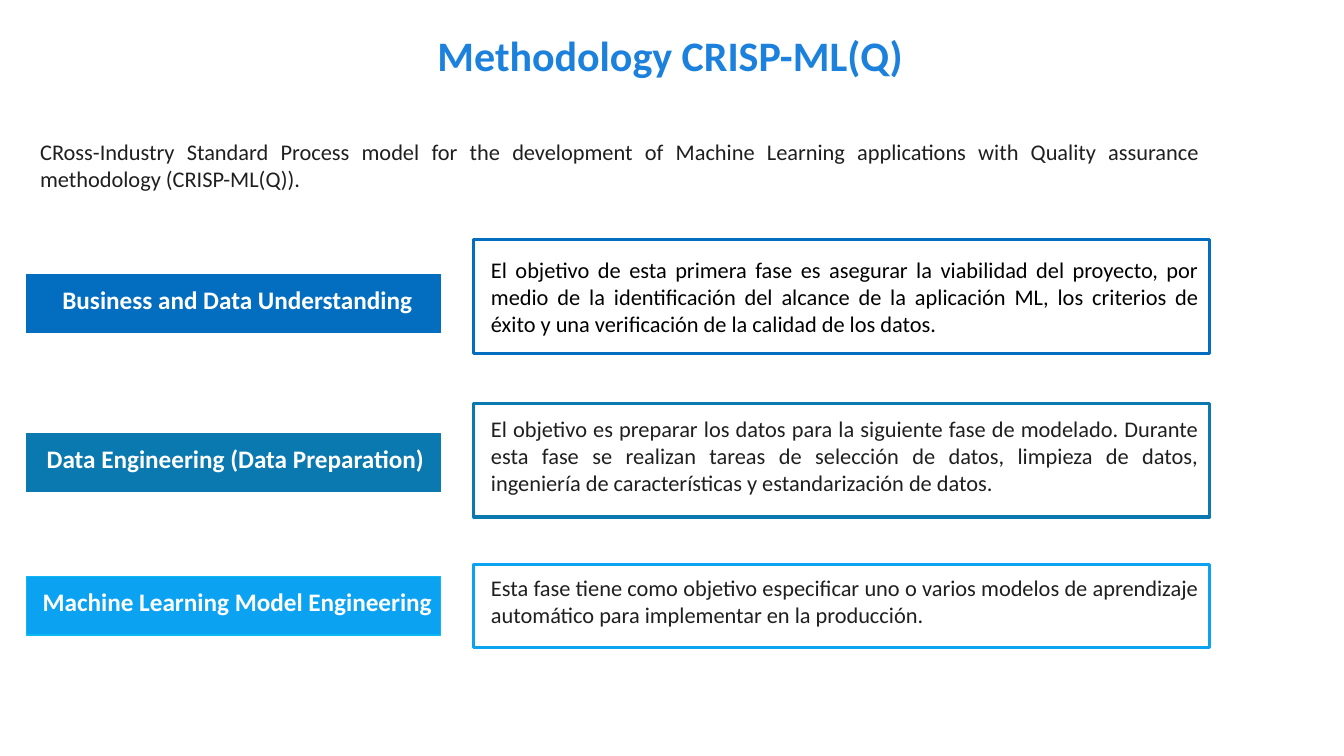
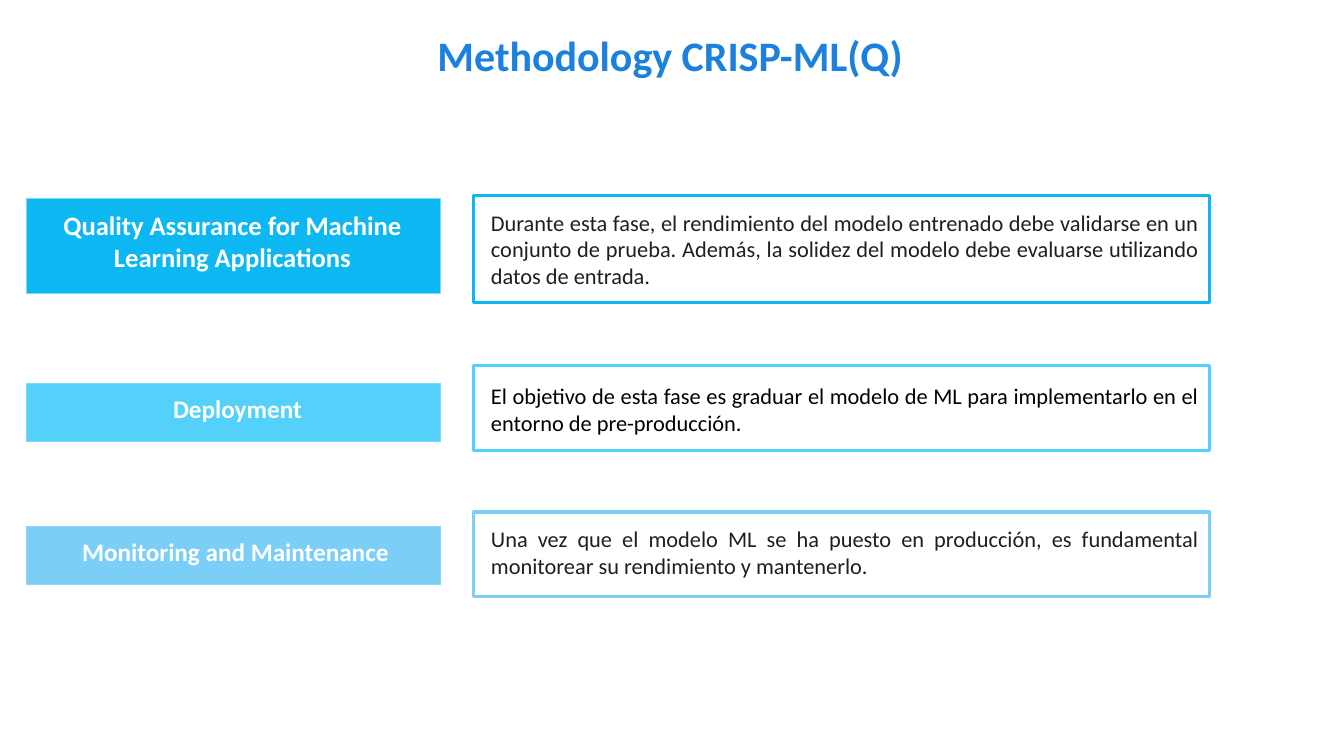
from dataclasses import dataclass

from pptx import Presentation
from pptx.dml.color import RGBColor
from pptx.enum.shapes import MSO_SHAPE
from pptx.enum.text import MSO_ANCHOR, PP_ALIGN
from pptx.shapes.autoshape import Shape
from pptx.slide import Slide
from pptx.util import Inches, Pt

RECT = MSO_SHAPE.RECTANGLE
TOP = MSO_ANCHOR.TOP
CENTER = PP_ALIGN.CENTER
JUSTIFY = PP_ALIGN.JUSTIFY

WHITE = RGBColor(0xFF, 0xFF, 0xFF)
BLACK = RGBColor(0x00, 0x00, 0x00)
INK = RGBColor(0x1F, 0x1F, 0x1F)
TITLE = RGBColor(0x1C, 0x81, 0xDC)
NAVY = RGBColor(0x03, 0x6E, 0xC0)
TEAL = RGBColor(0x09, 0x79, 0xB0)
AZURE = RGBColor(0x0C, 0xA2, 0xF2)
CYAN = RGBColor(0x0C, 0xB7, 0xF2)
SKY = RGBColor(0x53, 0xD1, 0xFB)
PALE = RGBColor(0x7B, 0xCE, 0xF6)
MIST = RGBColor(0x7C, 0xDA, 0xF9)
HAZE = RGBColor(0x90, 0xD7, 0xF9)

FONT = "Calibri"
PAD = 0.1
LABEL_X, LABEL_W = 0.26, 4.11
BODY_X, BODY_W = 4.7, 7.3


@dataclass(frozen=True)
class Style:
    size: float
    color: RGBColor
    bold: bool
    align: PP_ALIGN


@dataclass(frozen=True)
class Phase:
    name: str
    text: str
    fill: RGBColor
    edge: RGBColor
    label_y: float
    body_y: float
    body_h: float
    lead: float
    ink: RGBColor = INK
    label_h: float = 0.58
    size: float = 18
    shift: float = 0.04


@dataclass(frozen=True)
class Page:
    intro: str
    phases: tuple[Phase, ...]


PAGES = (
    Page(
        "CRoss-Industry Standard Process model for the development of Machine "
        "Learning applications with Quality assurance methodology (CRISP-ML(Q)).",
        (
            Phase(
                "Business and Data Understanding",
                "El objetivo de esta primera fase es asegurar la viabilidad del "
                "proyecto, por medio de la identificación del alcance de la "
                "aplicación ML, los criterios de éxito y una verificación de la "
                "calidad de los datos.",
                NAVY, NAVY, 2.72, 2.38, 1.13, 0.16, ink=BLACK,
            ),
            Phase(
                "Data Engineering (Data Preparation)",
                "El objetivo es preparar los datos para la siguiente fase de "
                "modelado. Durante esta fase se realizan tareas de selección de "
                "datos, limpieza de datos, ingeniería de características y "
                "estandarización de datos.",
                TEAL, TEAL, 4.3, 4.0, 1.13, 0.12, shift=0.02,
            ),
            Phase(
                "Machine Learning Model Engineering",
                "Esta fase tiene como objetivo especificar uno o varios modelos "
                "de aprendizaje automático para implementar en la producción.",
                AZURE, CYAN, 5.72, 5.6, 0.82, 0.1,
            ),
        ),
    ),
    Page(
        "",
        (
            Phase(
                "Quality Assurance for Machine Learning Applications",
                "Durante esta fase, el rendimiento del modelo entrenado debe "
                "validarse en un conjunto de prueba. Además, la solidez del "
                "modelo debe evaluarse utilizando datos de entrada.",
                CYAN, MIST, 1.97, 1.94, 1.06, 0.13,
                label_h=0.94, size=19, shift=-0.01,
            ),
            Phase(
                "Deployment",
                "El objetivo de esta fase es graduar el modelo de ML para "
                "implementarlo en el entorno de pre-producción.",
                SKY, MIST, 3.8, 3.63, 0.84, 0.16, ink=BLACK,
            ),
            Phase(
                "Monitoring and Maintenance",
                "Una vez que el modelo ML se ha puesto en producción, es "
                "fundamental monitorear su rendimiento y mantenerlo.",
                PALE, HAZE, 5.22, 5.08, 0.84, 0.13, shift=0.02,
            ),
        ),
    ),
)


def write(shape: Shape, text: str, style: Style,
          left: float, top: float, right: float) -> None:
    frame = shape.text_frame
    layout = {
        "word_wrap": True,
        "vertical_anchor": TOP,
        "margin_left": Inches(left),
        "margin_top": Inches(top),
        "margin_right": Inches(right),
        "margin_bottom": Inches(0.04),
    }
    for key, value in layout.items():
        setattr(frame, key, value)
    para = frame.paragraphs[0]
    para.alignment = style.align
    run = para.add_run()
    run.text = text
    look = {"name": FONT, "size": Pt(style.size), "bold": style.bold}
    for key, value in look.items():
        setattr(run.font, key, value)
    run.font.color.rgb = style.color


def add_text(slide: Slide, text: str, style: Style, x: float, y: float,
             w: float, h: float, side: float, top: float) -> None:
    box = slide.shapes.add_textbox(Inches(x), Inches(y), Inches(w), Inches(h))
    write(box, text, style, side, top, side)


def add_rect(slide: Slide, x: float, y: float, w: float, h: float,
             fill: RGBColor, edge: RGBColor, width: float) -> Shape:
    rect = slide.shapes.add_shape(
        RECT, Inches(x), Inches(y), Inches(w), Inches(h))
    rect.shadow.inherit = False
    rect.fill.solid()
    rect.fill.fore_color.rgb = fill
    rect.line.color.rgb = edge
    rect.line.width = Pt(width)
    return rect


def add_phase(slide: Slide, phase: Phase) -> None:
    body = add_rect(slide, BODY_X, phase.body_y, BODY_W, phase.body_h,
                    WHITE, phase.fill, 2.25)
    write(body, phase.text, Style(16, phase.ink, False, JUSTIFY),
          0.17, phase.lead, 0.11)
    label = add_rect(slide, LABEL_X, phase.label_y, LABEL_W, phase.label_h,
                     phase.fill, phase.edge, 0.75)
    write(label, phase.name, Style(phase.size, WHITE, True, CENTER),
          PAD + phase.shift, PAD, PAD - phase.shift)


def main() -> None:
    deck = Presentation()
    deck.slide_width = Inches(13.33)
    deck.slide_height = Inches(7.5)
    blank = deck.slide_layouts[6]
    for page in PAGES:
        slide = deck.slides.add_slide(blank)
        add_text(slide, "Methodology CRISP-ML(Q)",
                 Style(30, TITLE, True, CENTER),
                 0.4, 0.25, 12.5, 0.58, 0.07, 0.04)
        if page.intro:
            add_text(slide, page.intro, Style(16, INK, False, JUSTIFY),
                     0.3, 1.27, 11.7, 1.01, PAD, PAD)
        for phase in page.phases:
            add_phase(slide, phase)
    deck.save("out.pptx")


if __name__ == "__main__":
    main()
